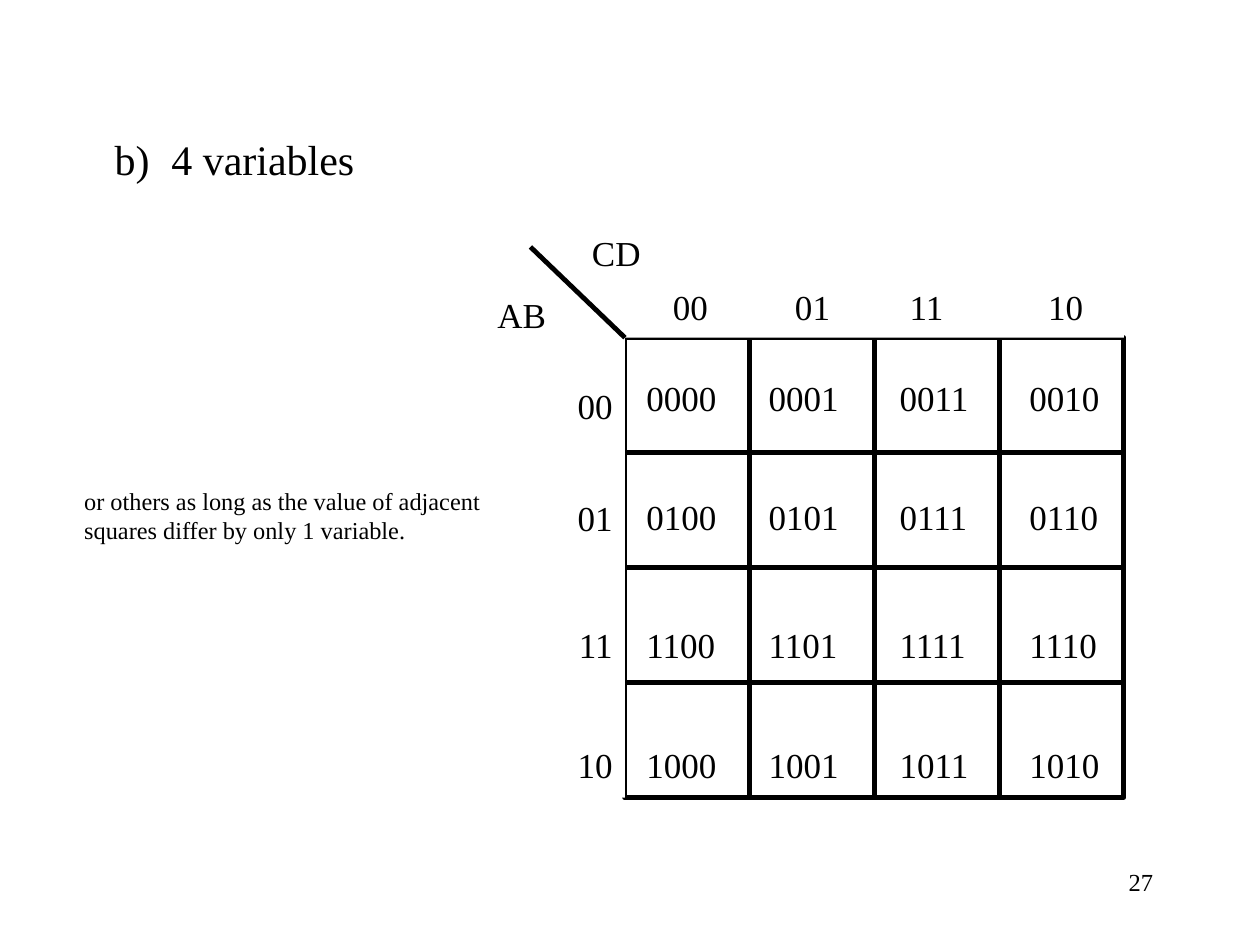
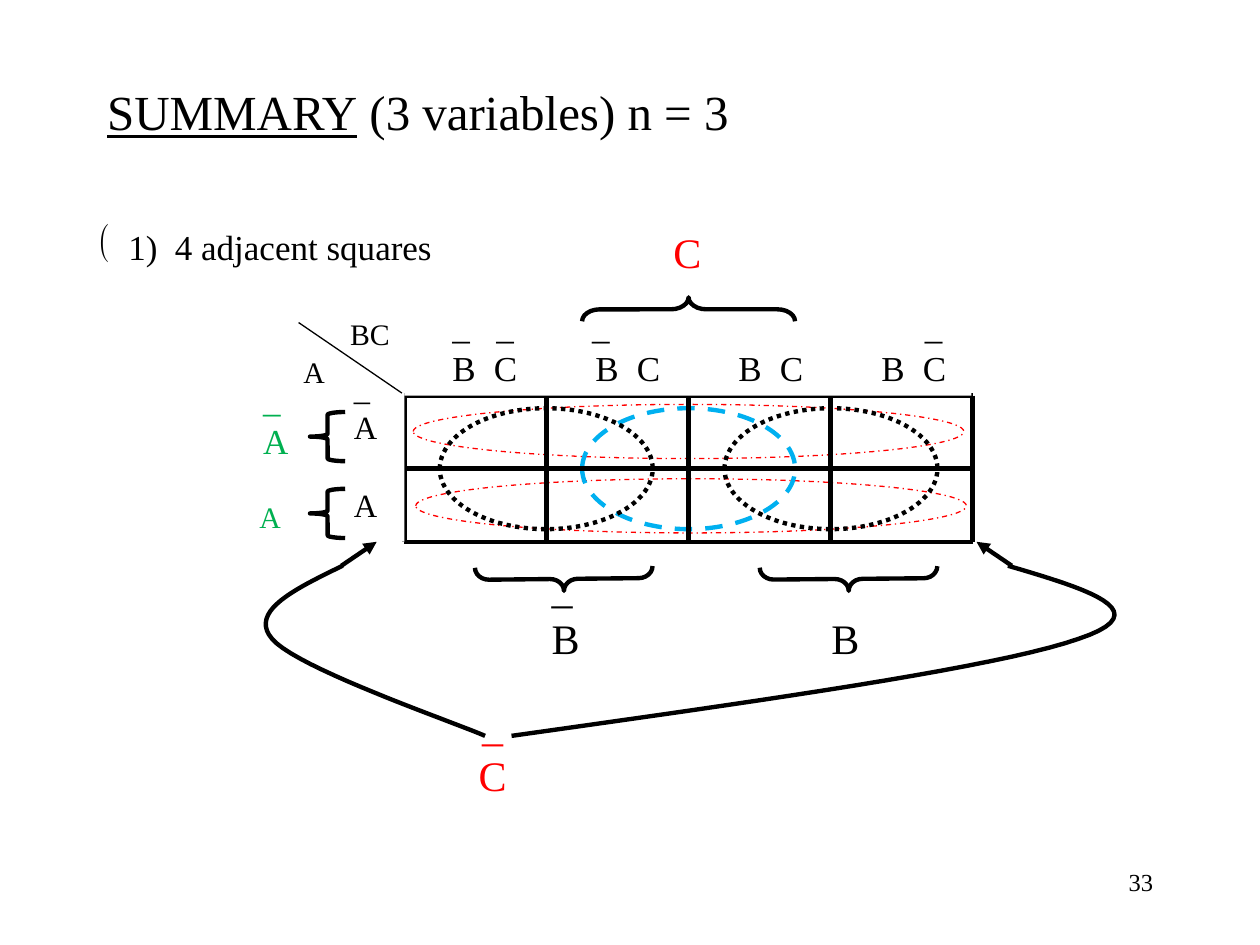
from lxml import etree
from pptx import Presentation
from pptx.dml.color import RGBColor
from pptx.enum.dml import MSO_LINE_DASH_STYLE as Dash
from pptx.enum.shapes import MSO_CONNECTOR, MSO_SHAPE as Preset
from pptx.enum.text import MSO_ANCHOR as Anchor, MSO_AUTO_SIZE, PP_ALIGN as Align
from pptx.oxml.ns import qn
from pptx.util import Inches, Pt

FONT = "Times New Roman"
BLACK, WHITE, RED, GREEN, BLUE = "000000", "FFFFFF", "FF0000", "00B050", "00B0F0"


def add_text(target, text, box=None, size=20, color=BLACK, align=Align.LEFT, fill=None,
             inset_left=0.1, inset_top=0.05, underlined="", bullet=None, indent=0,
             tabs=(), gaps=()):
    """Write into a new text box on a slide, or into target itself if no box is given.

    tabs holds the tab stops of each line in inches, gaps the points before each line.
    """
    if box:
        target = target.shapes.add_textbox(*map(Inches, box))
        target.text_frame.word_wrap = True
    if fill:
        target.fill.solid()
        target.fill.fore_color.rgb = RGBColor.from_string(fill)
    frame = target.text_frame
    frame.vertical_anchor = Anchor.TOP
    frame.margin_left = Inches(inset_left)
    frame.margin_top = Inches(inset_top)
    for number, line in enumerate(text.split("\n")):
        paragraph = frame.add_paragraph() if number else frame.paragraphs[0]
        paragraph.alignment = align
        if gaps:
            paragraph.space_before = Pt(gaps[number])
        properties = paragraph._p.get_or_add_pPr()
        if bullet:
            properties.set("marL", str(Inches(indent)))
            properties.set("indent", str(-Inches(indent)))
            etree.SubElement(properties, qn("a:buChar"), char=bullet)
        if tabs and tabs[number]:
            stops = etree.SubElement(properties, qn("a:tabLst"))
            for stop in tabs[number]:
                etree.SubElement(stops, qn("a:tab"), pos=str(Inches(stop)), algn="l")
        for content in filter(None, (underlined, line)):
            run = paragraph.add_run()
            run.text = content
            run.font.name = FONT
            run.font.size = Pt(size)
            run.font.color.rgb = RGBColor.from_string(color)
            run.font.underline = content == underlined


def add_line(slide, start, end, width, arrow=False):
    line = slide.shapes.add_connector(MSO_CONNECTOR.STRAIGHT, *map(Inches, (*start, *end)))
    line.line.color.rgb = RGBColor.from_string(BLACK)
    line.line.width = Pt(width)
    if arrow:
        etree.SubElement(line.line._get_or_add_ln(), qn("a:tailEnd"), type="triangle")
    etree.SubElement(line._element.spPr, qn("a:effectLst"))


presentation = Presentation()
presentation.slide_width = Inches(10)
presentation.slide_height = Inches(7.5)

slides = []
for page_number, title_box in (("27", (0.81, 1.01, 3.03, 0.9)), ("33", (0.75, 0.6, 8.5, 0.98))):
    slide = presentation.slides.add_slide(presentation.slide_layouts[5])
    title = slide.shapes.title
    title.left, title.top, title.width, title.height = map(Inches, title_box)
    title.text_frame.auto_size = MSO_AUTO_SIZE.NONE
    add_text(slide, page_number, (7.17, 6.83, 2.08, 0.5), size=14, align=Align.RIGHT)
    slides.append(slide)
four_variables, summary = slides

# Four-variable map
slide = four_variables
add_text(slide.shapes.title, "b)\t4 variables", size=24, tabs=[(0.45,)])

codes = ("00", "01", "11", "10")
left, top, right, bottom = 4.96, 2.68, 8.92, 6.33
width, height = right - left, bottom - top
squares = slide.shapes.add_shape(Preset.RECTANGLE, *map(Inches, (left, top, width, height)))
squares.shadow.inherit = False
squares.line.color.rgb = RGBColor.from_string(BLACK)
squares.line.width = Pt(2.75)
rows = ["\t".join(ab + cd for cd in codes) for ab in codes]
add_text(squares, "\n".join(rows), fill=WHITE, inset_left=0.17, inset_top=0.31,
         tabs=[(0.97, 2.01, 3.04)] * 4, gaps=(0, 44, 49, 44.6))
for step in range(1, 4):
    x, y = left + step * width / 4, top + step * height / 4
    add_line(slide, (x, top), (x, bottom), 2.75)
    add_line(slide, (left, y), (right, y), 2.75)

add_text(slide, "\n".join(codes), (3.97, top, 0.99, height), align=Align.RIGHT, fill=WHITE,
         inset_top=0.37, gaps=(0, 40, 48.5, 44.5))
add_text(slide, "\t".join(codes), (left, 2.22, width, 0.46), fill=WHITE,
         inset_left=0.38, tabs=[(0.97, 1.88, 2.98)])
add_line(slide, (left, top), (4.21, 1.96), 2.75)
add_text(slide, "AB", (3.85, 2.28, 0.63, 0.49), fill=WHITE)
add_text(slide, "CD", (4.6, 1.79, 0.6, 0.46), fill=WHITE)
add_text(slide, "or others as long as the value of adjacent squares differ by only 1 variable.",
         (0.57, 3.81, 3.54, 0.98), size=13.9, fill=WHITE)

# Three-variable summary
slide = summary
add_text(slide.shapes.title, " (3 variables) n = 3", size=28, underlined="SUMMARY")

loops = [
    (3.3, 3.8, 4.37, 0.43, RED, 0.75, Dash.DASH_DOT),
    (3.28, 3.21, 4.37, 0.43, RED, 0.75, Dash.DASH_DOT),
    (5.75, 3.24, 1.69, 0.96, BLACK, 2.5, Dash.ROUND_DOT),
    (4.62, 3.24, 1.69, 0.96, BLUE, 2.5, Dash.DASH),
    (3.49, 3.24, 1.69, 0.96, BLACK, 2.5, Dash.ROUND_DOT),
]
for *box, color, weight, dash in loops:
    loop = slide.shapes.add_shape(Preset.OVAL, *map(Inches, box))
    loop.shadow.inherit = False
    loop.fill.background()
    loop.line.color.rgb = RGBColor.from_string(color)
    loop.line.width = Pt(weight)
    loop.line.dash_style = dash

left, top, right, bottom = 3.21, 3.14, 7.72, 4.3
for column in range(5):
    x = left + column * (right - left) / 4
    add_line(slide, (x, top), (x, bottom), 2.5)
for row in range(3):
    y = top + row * (bottom - top) / 2
    add_line(slide, (left, y), (right, y), 2.5)

# An underscore above a letter marks its complement
letter_stops = [1.135 * pair + offset for pair in range(4) for offset in (0, 0.33)][1:]
add_text(slide, "_\t_\t_\t_\n" + "\t".join("BC" * 4), (left, 2.37, 4.5, 0.77), fill=WHITE,
         inset_left=0.38, tabs=[(0.35, 1.11, 3.75), letter_stops])
add_text(slide, "_\nA\nA", (2.71, 2.87, 0.5, 1.43), size=18.5, fill=WHITE, gaps=(0, 0, 22.5))
add_text(slide, "A", (2.31, 2.76, 0.56, 0.39), size=17, fill=WHITE)
add_text(slide, "BC", (2.68, 2.46, 0.84, 0.39), size=17, fill=WHITE)
add_text(slide, "_\nA", (1.99, 2.95, 0.47, 0.77), color=GREEN)
add_text(slide, "A", (1.96, 3.91, 0.66, 0.39), size=17, color=GREEN)
add_text(slide, "1)\t4 adjacent squares", (0.68, 1.74, 4.78, 0.57), fill=WHITE,
         bullet="(", indent=0.24, tabs=[(0.61,)])
add_line(slide, (3.19, 3.12), (2.37, 2.56), 0.75)
add_text(slide, "_\nC", (3.7, 5.5, 0.42, 0.9), size=24, color=RED, align=Align.CENTER)
add_text(slide, "_\nB\tB", (4.28, 4.41, 2.64, 0.9), size=24, tabs=[(), (2.22,)])
add_text(slide, "C", (5.16, 1.75, 0.59, 0.5), size=24, color=RED, align=Align.CENTER)

braces = [
    (Preset.LEFT_BRACE, (2.46, 3.27, 0.28, 0.39), 0, 0.08),
    (Preset.LEFT_BRACE, (2.46, 3.88, 0.28, 0.39), 0, 0.08),
    (Preset.RIGHT_BRACE, (4.38, 3.89, 0.19, 1.41), 89.4, 0.58),
    (Preset.RIGHT_BRACE, (6.64, 3.89, 0.19, 1.41), 89.5, 0.58),
    (Preset.LEFT_BRACE, (5.37, 1.61, 0.19, 1.69), 90, 0.74),
]
outlines = []
for preset, box, rotation, curl in braces:
    brace = slide.shapes.add_shape(preset, *map(Inches, box))
    brace.rotation = rotation
    brace.adjustments[0] = curl
    outlines.append(brace)

# Each wrap-around curve is two Bézier segments sharing their middle point
curves = [
    [(2.72, 4.49), (2.35, 4.67), (1.97, 4.85), (2.16, 5.07), (2.35, 5.3), (3.57, 5.72), (3.85, 5.84)],
    [(8, 4.49), (8.61, 4.67), (9.22, 4.85), (8.56, 5.07), (7.91, 5.3), (5.98, 5.57), (4.06, 5.84)],
]
STEPS = 20
for controls in curves:
    points = []
    for segment in (controls[:4], controls[3:]):
        for step in range(1, STEPS + 1):
            t = step / STEPS
            weights = ((1 - t) ** 3, 3 * t * (1 - t) ** 2, 3 * t ** 2 * (1 - t), t ** 3)
            points.append([Inches(sum(w * p[axis] for w, p in zip(weights, segment)))
                           for axis in (0, 1)])
    builder = slide.shapes.build_freeform(*map(Inches, controls[0]))
    builder.add_line_segments(points, close=False)
    outlines.append(builder.convert_to_shape())

for outline in outlines:
    outline.shadow.inherit = False
    outline.fill.background()
    outline.line.color.rgb = RGBColor.from_string(BLACK)
    outline.line.width = Pt(2.5)

add_line(slide, (2.71, 4.49), (2.99, 4.3), 2.5, arrow=True)
add_line(slide, (8.03, 4.49), (7.75, 4.3), 2.5, arrow=True)

presentation.save("out.pptx")
